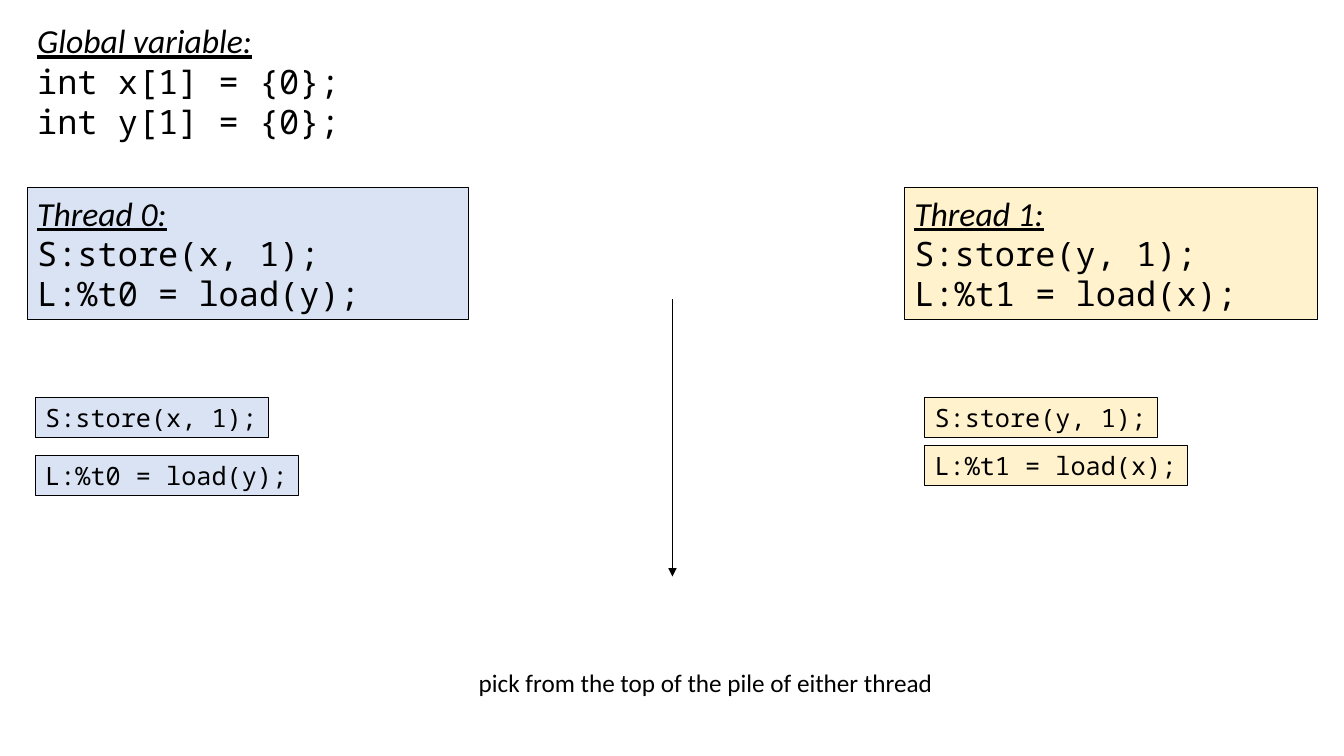
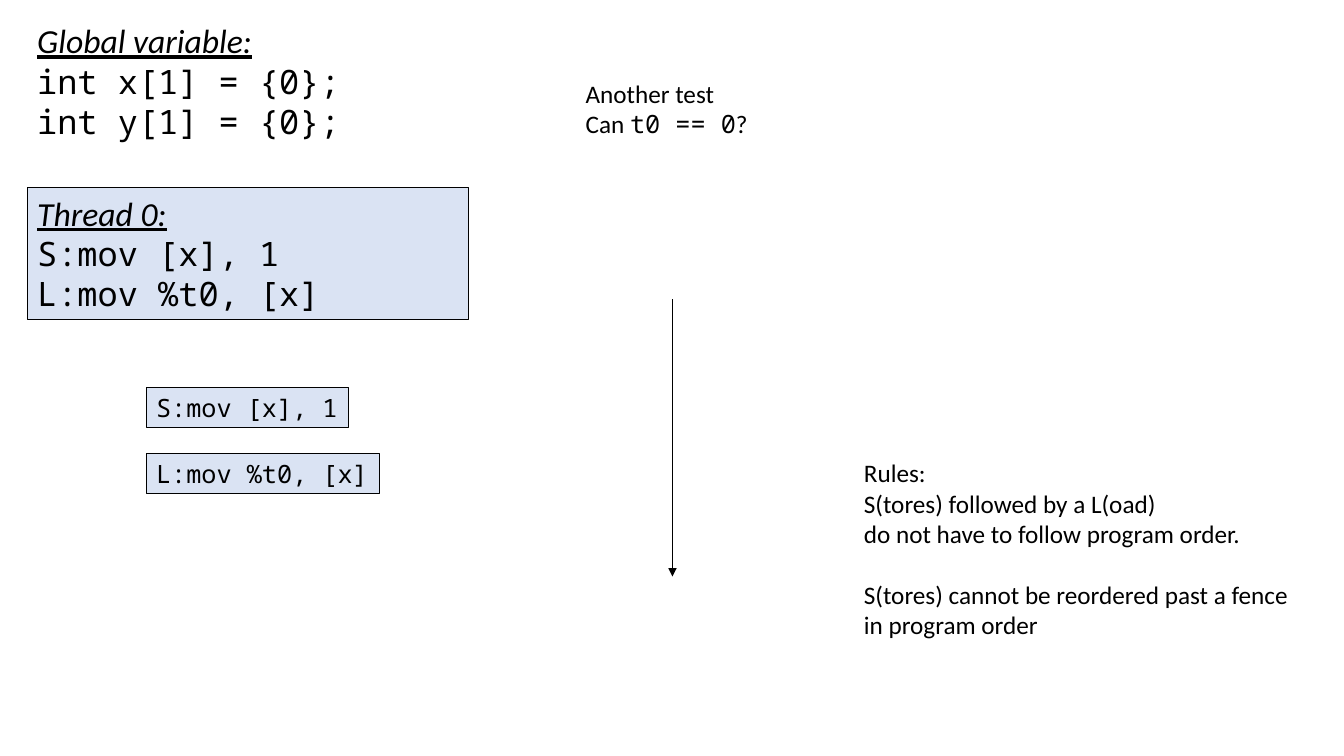
from lxml import etree
from pptx import Presentation
from pptx.dml.color import RGBColor
from pptx.enum import shapes, text
from pptx.oxml import ns
from pptx.util import Inches, Pt

BLACK = RGBColor(0x00, 0x00, 0x00)
WHITE = RGBColor(0xFF, 0xFF, 0xFF)
BLUE = RGBColor(0xDA, 0xE3, 0xF3)
YELLOW = RGBColor(0xFF, 0xF2, 0xCC)
PROSE = "Calibri"
CODE = "Noto Sans Mono"
BLANK_LAYOUT = 6
STEP_HEIGHT = 0.4


def add_run(paragraph, words, font=PROSE, size=18, heading=False):
    run = paragraph.add_run()
    run.text = words
    run.font.name = font
    run.font.size = Pt(size)
    run.font.color.rgb = BLACK
    run.font.italic = run.font.underline = heading


class Deck:
    """Holds the shared style and the slide being filled."""

    def __init__(self):
        self.prs = Presentation()
        self.prs.slide_width, self.prs.slide_height = Inches(13.33), Inches(7.5)
        self.slide = None

    def new_slide(self):
        self.slide = self.prs.slides.add_slide(self.prs.slide_layouts[BLANK_LAYOUT])
        background = self.slide.background.fill
        background.solid()
        background.fore_color.rgb = WHITE

    def frame(self, left, top, width, height, fill=None, wrap=False):
        """Add a text box, or an outlined rectangle if a fill is given."""
        place = [Inches(n) for n in (left, top, width, height)]
        if fill is None:
            holder = self.slide.shapes.add_textbox(*place)
        else:
            holder = self.slide.shapes.add_shape(shapes.MSO_SHAPE.RECTANGLE, *place)
            holder.shadow.inherit = False
            holder.fill.solid()
            holder.fill.fore_color.rgb = fill
            holder.line.color.rgb = BLACK
            holder.line.width = Pt(0.75)
        frame = holder.text_frame
        frame.word_wrap = wrap
        frame.auto_size = text.MSO_AUTO_SIZE.SHAPE_TO_FIT_TEXT
        frame.vertical_anchor = text.MSO_ANCHOR.TOP
        return frame

    def paragraphs(self, frame, count):
        for _ in range(count - 1):
            frame.add_paragraph()
        for paragraph in frame.paragraphs:
            paragraph.alignment = text.PP_ALIGN.LEFT
        return frame.paragraphs

    def listing(self, place, heading, code, fill=None):
        """Add an underlined heading with lines of code below it."""
        frame = self.frame(*place, fill=fill, wrap=True)
        first, *rest = self.paragraphs(frame, 1 + len(code))
        add_run(first, heading, size=24, heading=True)
        for paragraph, line in zip(rest, code):
            add_run(paragraph, line, font=CODE, size=24)

    def global_variables(self):
        self.listing((0.27, 0.15, 4.78, 1.31), "Global variable:",
                     ["int x[1] = {0};", "int y[1] = {0};"])

    def thread(self, number, code):
        left, width, fill = [(0.27, 4.38, BLUE), (8.97, 4.1, YELLOW)][number]
        self.listing((left, 1.86, width, 1.31), f"Thread {number}:", code, fill)

    def pile(self, left, top, pitch, steps, fill):
        """Stack single instructions, each box as wide as its monospaced text."""
        for row, step in enumerate(steps):
            width = 0.2 + 0.15 * len(step) + 0.01
            frame = self.frame(left, top + row * pitch, width, STEP_HEIGHT, fill)
            add_run(self.paragraphs(frame, 1)[0], step, font=CODE)

    def note(self, place, lines):
        """Add prose; each line is a list of (words, font) runs."""
        paragraphs = self.paragraphs(self.frame(*place), len(lines))
        for paragraph, runs in zip(paragraphs, lines):
            for words, font in runs:
                add_run(paragraph, words, font=font)
        return paragraphs

    def time_arrow(self):
        x = Inches(6.67)
        arrow = self.slide.shapes.add_connector(
            shapes.MSO_CONNECTOR.STRAIGHT, x, Inches(2.97), x, Inches(5.72))
        arrow.line.color.rgb = BLACK
        arrow.line.width = Pt(0.5)
        etree.SubElement(arrow.line._get_or_add_ln(), ns.qn("a:tailEnd"), type="triangle")
        etree.SubElement(arrow._element.spPr, ns.qn("a:effectLst"))


def two_threads(deck):
    store_x, load_y = first_thread = ["S:store(x, 1);", "L:%t0 = load(y);"]
    second_thread = ["S:store(y, 1);", "L:%t1 = load(x);"]
    deck.new_slide()
    deck.global_variables()
    deck.thread(0, first_thread)
    deck.thread(1, second_thread)
    deck.time_arrow()
    deck.pile(0.35, 3.94, 0.58, first_thread, BLUE)
    deck.pile(9.17, 3.94, 0.48, second_thread, YELLOW)
    deck.note((4.65, 6.57, 4.76, 0.4),
              [[("pick from the top of the pile of either thread", PROSE)]])


def store_then_load(deck):
    program = ["S:mov [x], 1", "L:mov %t0, [x]"]
    deck.new_slide()
    deck.global_variables()
    deck.thread(0, program)
    deck.time_arrow()
    deck.note((5.71, 0.73, 1.82, 0.71),
              [[("Another test", PROSE)],
               [("Can ", PROSE), ("t0 == 0", CODE), ("?", PROSE)]])
    deck.pile(1.45, 3.84, 0.66, program, BLUE)
    rules = ["Rules:",
             "S(tores) followed by a L(oad)",
             "do not have to follow program order.",
             "S(tores) cannot be reordered past a fence",
             "in program order"]
    lines = deck.note((8.47, 4.49, 4.46, 1.92), [[(rule, PROSE)] for rule in rules])
    lines[3].space_before = Pt(22)


def main():
    deck = Deck()
    two_threads(deck)
    store_then_load(deck)
    deck.prs.save("out.pptx")


if __name__ == "__main__":
    main()
